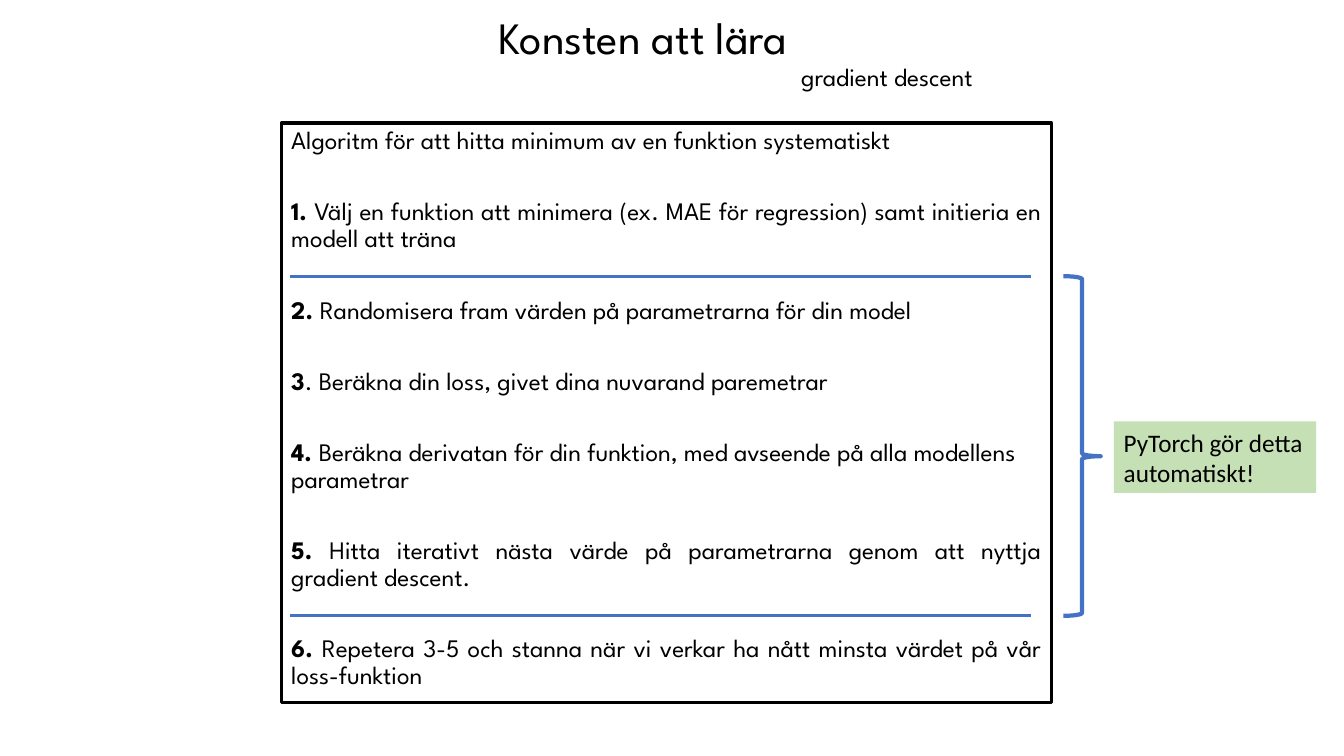
import pptx
import pptx.util
import pptx.dml.color
import pptx.enum.shapes
import pptx.enum.text
import pptx.oxml.ns
import lxml.etree

Cm, Pt = pptx.util.Cm, pptx.util.Pt
Shape = pptx.enum.shapes.MSO_SHAPE
Align = pptx.enum.text.PP_ALIGN
BLUE = "4472C4"
HEADING_FONT = "League Spartan"


def color(code):
    return pptx.dml.color.RGBColor.from_string(code)


def style(span, size, font, bold=False):
    span.font.size = Pt(size)
    span.font.name = font
    span.font.bold = bold
    span.font.color.rgb = color("000000")


deck = pptx.Presentation()
deck.slide_width, deck.slide_height = Cm(33.87), Cm(19.05)
page = deck.slides.add_slide(deck.slide_layouts[6])

# Title with indented subtitle
title = page.shapes.add_textbox(Cm(12.32), Cm(0.28), Cm(13.84), Cm(1.83))
title.text_frame.word_wrap = True
title.text_frame.text = "Konsten att lära\ngradient descent"
for para, size in zip(title.text_frame.paragraphs, (32, 18)):
    para.line_spacing = 0.9
    style(para.runs[0], size, HEADING_FONT)
subtitle = title.text_frame.paragraphs[1]
subtitle._p.get_or_add_pPr().set("marL", str(Cm(7.62)))

# Algorithm box: number, text, alignment
steps = [
    ("", "Algoritm för att hitta minimum av en funktion systematiskt", Align.JUSTIFY),
    ("1. ", "Välj en funktion att minimera (ex. MAE för regression) samt "
     "initieria en modell att träna", Align.JUSTIFY),
    ("2. ", "Randomisera fram värden på parametrarna för din model", Align.LEFT),
    ("3", ". Beräkna din loss, givet dina nuvarand paremetrar", Align.LEFT),
    ("4. ", "Beräkna derivatan för din funktion, med avseende på alla "
     "modellens parametrar", Align.LEFT),
    ("5. ", "Hitta iterativt nästa värde på parametrarna genom att nyttja "
     "gradient descent.", Align.JUSTIFY),
    ("6. ", "Repetera 3-5 och stanna när vi verkar ha nått minsta värdet på "
     "vår loss-funktion", Align.JUSTIFY),
]
algorithm = page.shapes.add_shape(Shape.RECTANGLE, Cm(7.09), Cm(3.1), Cm(19.41), Cm(14.6))
algorithm.shadow.inherit = False
algorithm.fill.background()
algorithm.line.color.rgb = color("000000")
algorithm.line.width = Pt(2.25)
frame = algorithm.text_frame
frame.word_wrap = True
frame.vertical_anchor = pptx.enum.text.MSO_ANCHOR.TOP
for index, (number, text, alignment) in enumerate(steps):
    para = frame.add_paragraph() if index else frame.paragraphs[0]
    para.alignment = alignment
    para.line_spacing = 0.9
    para.space_after = Pt(31.3 if index < len(steps) - 1 else 6)
    for part, bold in ((number, True), (text, False)):
        if part:
            span = para.add_run()
            span.text = part
            style(span, 18, HEADING_FONT, bold)

# Lines around the automatic steps
loop_top, loop_bottom = Cm(6.96), Cm(15.52)
for y in (loop_top, loop_bottom):
    divider = page.shapes.add_connector(
        pptx.enum.shapes.MSO_CONNECTOR.STRAIGHT, Cm(25.98), y, Cm(7.32), y)
    divider.line.color.rgb = color(BLUE)
    divider.line.width = Pt(2.25)
    lxml.etree.SubElement(divider._element.spPr, pptx.oxml.ns.qn("a:effectLst"))

# Brace
brace = page.shapes.add_shape(
    Shape.RIGHT_BRACE, Cm(26.8), loop_top, Cm(0.94), loop_bottom - loop_top)
brace.adjustments[0] = 0.08
brace.adjustments[1] = 0.53
brace.shadow.inherit = False
brace.fill.background()
brace.line.color.rgb = color(BLUE)
brace.line.width = Pt(3)

# Green note
note = page.shapes.add_shape(Shape.RECTANGLE, Cm(28.07), Cm(10.62), Cm(5.1), Cm(1.8))
note.shadow.inherit = False
note.fill.solid()
note.fill.fore_color.rgb = color("C5E0B4")
note.line.fill.background()
note.text_frame.word_wrap = True
note.text_frame.text = "PyTorch gör detta\nautomatiskt!"
for para in note.text_frame.paragraphs:
    para.alignment = Align.LEFT
    style(para.runs[0], 18, "Calibri")

deck.save("out.pptx")
